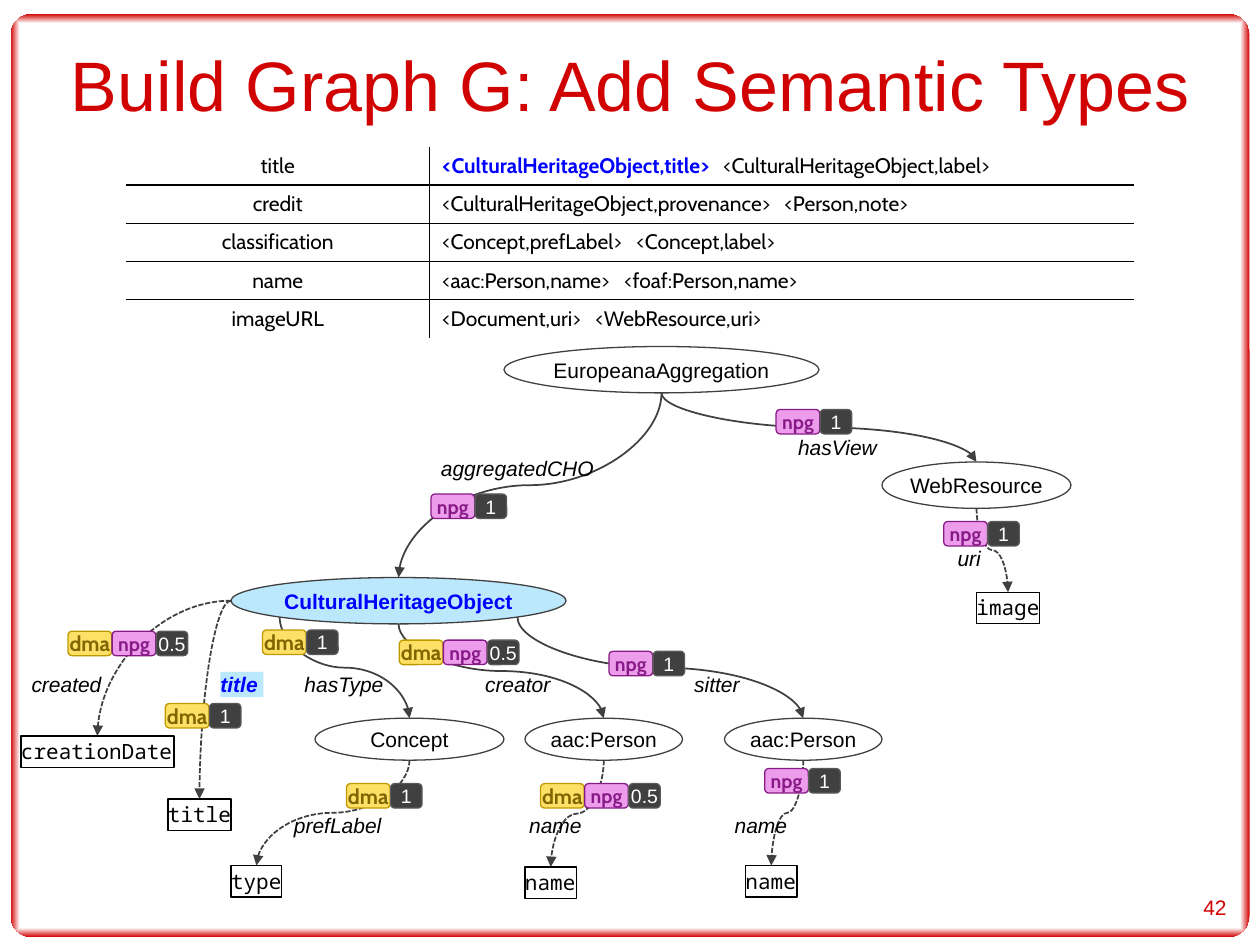
"""Build a slide showing a semantic type table above a graph of linked classes."""
import pptx
import pptx.chart.data
import pptx.dml.color
import pptx.enum.dml
import pptx.enum.shapes
import pptx.enum.text
import pptx.oxml
import pptx.oxml.ns
import pptx.util

TITLE = "Build Graph G: Add Semantic Types"
PAGE_NUMBER = "42"

TYPE_ROWS = [
    ("title", "<CulturalHeritageObject,title>", "<CulturalHeritageObject,label>", 160.5),
    ("credit", "<CulturalHeritageObject,provenance>", "<Person,note>", 195.5),
    ("classification", "<Concept,prefLabel>", "<Concept,label>", 111),
    ("name", "<aac:Person,name>", "<foaf:Person,name>", 104),
    ("imageURL", "<Document,uri>", "<WebResource,uri>", 87.5),
]

CLASSES = {
    "aggregation": ("EuropeanaAggregation", (288, 198, 180, 26.5)),
    "resource": ("WebResource", (504, 264, 108, 26.5)),
    "heritage": ("CulturalHeritageObject", (132, 330, 191.5, 26.5)),
    "concept": ("Concept", (180, 410.4, 108, 24)),
    "creator": ("aac:Person", (300, 410.4, 90, 24)),
    "sitter": ("aac:Person", (414, 410.4, 90, 24)),
}
FIELDS = {
    "image": ("image", (558, 338.4, 36, 18)),
    "date": ("creationDate", (12, 420.5, 87.4, 18)),
    "title": ("title", (96, 456.5, 36, 18)),
    "type": ("type", (132, 494.6, 29, 18)),
    "creator name": ("name", (300, 495.4, 29.4, 18)),
    "sitter name": ("name", (426, 494.6, 29.4, 18)),
}
NODES = CLASSES | FIELDS

SITES = {"left": (-1, 0), "lower left": (-0.71, 0.71), "bottom": (0, 1), "lower right": (0.71, 0.71)}
LINKS = [
    ("aggregation", "bottom", "heritage", "aggregatedCHO", (252, 260.6, 91.4), (246.3, 282.3), ["npg"], "1"),
    ("aggregation", "bottom", "resource", "hasView", (456, 248.6, 48), (443.5, 234), ["npg"], "1"),
    ("resource", "bottom", "image", "uri", (547.2, 312, 16.6), (539.3, 298), ["npg"], "1"),
    ("heritage", "left", "date", "created", (18, 384, 43), (38.9, 360.7), ["dma", "npg"], "0.5"),
    ("heritage", "left", "title", "title", (126, 384, 24.5), (94.5, 402), ["dma"], "1"),
    ("heritage", "lower left", "concept", "hasType", (174, 384, 48), (150, 360), ["dma"], "1"),
    ("heritage", "bottom", "creator", "creator", (277.2, 384, 41), (228.2, 365.8), ["dma", "npg"], "0.5"),
    ("heritage", "lower right", "sitter", "sitter", (396.7, 384, 29.5), (348, 372.2), ["npg"], "1"),
    ("concept", "bottom", "type", "prefLabel", (168, 464.4, 53.3), (198, 447.8), ["dma"], "1"),
    ("creator", "bottom", "creator name", "name", (302.4, 464.4, 33.1), (308.9, 447.8), ["dma", "npg"], "0.5"),
    ("sitter", "bottom", "sitter name", "name", (419.8, 464.4, 33.1), (437, 439.2), ["npg"], "1"),
]

THEME = {
    "red": "D10202", "white": "FFFFFF", "black": "000000", "dark": "404040",
    "accent": "0000FF", "highlight": "BCE8FD",
    "title": {"name": "Arial", "size": 40, "color": "D10202"},
    "number": {"name": "Arial", "size": 12, "color": "D10202"},
    "cell": {"name": "Cabin", "size": 12, "color": "000000", "bold": False},
    "class": {"name": "Arial", "size": 12, "color": "000000"},
    "label": {"name": "Arial", "size": 12, "color": "000000", "italic": True},
    "field": {"name": "Noto Sans Mono", "size": 12, "color": "000000"},
}
BADGES = {
    "dma": ("FFE066", "BF9900", {"name": "Cabin", "size": 12, "color": "806600", "bold": True}),
    "npg": ("EC9CEB", "881A87", {"name": "Cabin", "size": 11.1, "color": "881A87", "bold": True}),
    "weight": ("404040", "595959", {"name": "Arial", "size": 11.1, "color": "FFFFFF"}),
}
BADGE_STEP, BADGE_WIDTH, WEIGHT_WIDTH, BADGE_HEIGHT = 25.2, 25, 18, 14
ROW_HEIGHT = 21.8

Pt = pptx.util.Pt
SHAPE = pptx.enum.shapes.MSO_SHAPE
ALIGN = pptx.enum.text.PP_ALIGN
MIDDLE = pptx.enum.text.MSO_ANCHOR.MIDDLE
qn = pptx.oxml.ns.qn


def rgb(value):
    return pptx.dml.color.RGBColor.from_string(value)


def element(xml):
    return pptx.oxml.parse_xml(xml.replace(" ", f" {pptx.oxml.ns.nsdecls('a')} ", 1))


def style(font, formats):
    for key, value in formats.items():
        if key == "color":
            font.color.rgb = rgb(value)
        else:
            setattr(font, key, Pt(value) if key == "size" else value)


def write(box, text, formats, align=ALIGN.CENTER, margins=(0, 0, 0, 0), wrap=False):
    frame = box.text_frame
    frame.word_wrap = wrap
    frame.vertical_anchor = MIDDLE
    for side, margin in zip(("left", "top", "right", "bottom"), margins):
        setattr(frame, f"margin_{side}", Pt(margin))
    para = frame.paragraphs[0]
    para.alignment = align
    span = para.add_run()
    span.text = text
    style(span.font, formats)


def add_box(page, kind, place, fill, line=None):
    box = page.shapes.add_shape(kind, *map(Pt, place))
    box.shadow.inherit = False
    box.fill.solid()
    box.fill.fore_color.rgb = rgb(fill)
    if line:
        box.line.color.rgb = rgb(line)
        box.line.width = Pt(0.75)
    else:
        box.line.fill.background()
    return box


def add_frame(page):
    frame = add_box(page, SHAPE.ROUNDED_RECTANGLE, (6, 8, 708, 527.5), THEME["white"])
    frame.adjustments[0] = 0.023
    frame.fill.gradient()
    for stop, color, position in zip(frame.fill.gradient_stops, ("white", "red"), (0.98, 1)):
        stop.color.rgb = rgb(THEME[color])
        stop.position = position
    gradient = frame._element.spPr.find(qn("a:gradFill"))
    gradient.replace(gradient.find(qn("a:lin")), element(
        '<a:path path="rect"><a:fillToRect l="50000" t="50000" r="50000" b="50000"/></a:path>'))
    page.shapes._spTree.insert(2, frame._element)


def add_types(page):
    count = len(TYPE_ROWS)
    holder = page.shapes.add_table(count, 2, Pt(72), Pt(84), Pt(576), Pt(ROW_HEIGHT * count))
    table = holder.table
    table.first_row = table.horz_banding = False
    table._tbl.tblPr.find(qn("a:tableStyleId")).text = "{2D5ABB26-0587-4C30-8999-92F81FD0307C}"
    for column, width in zip(table.columns, (173.5, 402.5)):
        column.width = Pt(width)
    for index, (name, first, second, tab) in enumerate(TYPE_ROWS):
        table.rows[index].height = Pt(ROW_HEIGHT)
        for column, spans in enumerate(([name], [first, "\t" + second])):
            cell = table.cell(index, column)
            para = cell.text_frame.paragraphs[0]
            para.alignment = ALIGN.LEFT if column else ALIGN.CENTER
            if column:
                para._p.get_or_add_pPr().append(element(
                    f'<a:tabLst ><a:tab pos="{Pt(tab)}" algn="l"/></a:tabLst>'))
            for text in spans:
                span = para.add_run()
                span.text = text
                chosen = index == 0 and text == first
                style(span.font, THEME["cell"] | ({"color": THEME["accent"], "bold": True} if chosen else {}))
            sides = (["lnL"] if column else ["lnR"]) + ["lnT"] * (index > 0) + ["lnB"] * (index < count - 1)
            for side in sides:
                cell._tc.get_or_add_tcPr().append(element(
                    f'<a:{side} w="{Pt(1)}"><a:solidFill><a:srgbClr val="{THEME["black"]}"/></a:solidFill></a:{side}>'))
            cell.fill.background()


def add_link(page, source, site, target):
    left, top, width, height = NODES[source][1]
    across, down = SITES[site]
    x1, y1 = left + width / 2 * (1 + across), top + height / 2 * (1 + down)
    left, y2, width, _ = NODES[target][1]
    x2 = left + width / 2
    ends, turn = (x1, y1, x2, y2), 0
    if site != "left":
        x, y, run, rise = (x1 + x2) / 2, (y1 + y2) / 2, (y2 - y1) / 2, abs(x2 - x1) / 2
        turn = 270 if x2 > x1 else 90
        run = -run if x2 > x1 else run
        ends = (x - run, y - rise, x + run, y + rise)
    link = page.shapes.add_connector(pptx.enum.shapes.MSO_CONNECTOR.CURVE, *map(Pt, ends))
    link.line.color.rgb = rgb(THEME["dark"])
    link.line.width = Pt(1)
    if target in FIELDS:
        link.line.dash_style = pptx.enum.dml.MSO_LINE.SQUARE_DOT
    properties = link._element.spPr
    if turn:
        properties.find(qn("a:xfrm")).set("rot", str(turn * 60000))
    else:
        properties.find(qn("a:prstGeom")).set("prst", "curvedConnector2")
    properties.find(qn("a:ln")).append(element('<a:tailEnd type="triangle"/>'))
    properties.append(element("<a:effectLst />"))


def add_label(page, text, place, chosen):
    place = (*place, 14.4)
    if chosen:
        box = add_box(page, SHAPE.RECTANGLE, place, THEME["highlight"])
    else:
        box = page.shapes.add_textbox(*map(Pt, place))
    extra = {"color": THEME["accent"], "bold": True} if chosen else {}
    write(box, text, THEME["label"] | extra, ALIGN.LEFT)


def add_badges(page, place, sources, weight):
    left, top = place
    for index, text in enumerate([*sources, weight]):
        fill, line, formats = BADGES.get(text, BADGES["weight"])
        width = BADGE_WIDTH if text in BADGES else WEIGHT_WIDTH
        spot = (left + index * BADGE_STEP, top, width, BADGE_HEIGHT)
        write(add_box(page, SHAPE.ROUNDED_RECTANGLE, spot, fill, line), text, formats)


def main():
    deck = pptx.Presentation()
    deck.slide_width, deck.slide_height = Pt(720), Pt(540)
    page = deck.slides.add_slide(deck.slide_layouts[5])
    add_frame(page)
    title = page.shapes.title
    title.left, title.top, title.width, title.height = map(Pt, (24, 12, 672, 72))
    write(title, TITLE, THEME["title"], margins=(7.2, 3.6, 7.2, 3.6), wrap=True)
    number = page.shapes.add_textbox(*map(Pt, (666, 507, 42, 23)))
    write(number, PAGE_NUMBER, THEME["number"], ALIGN.RIGHT, (7.2, 3.6, 7.2, 3.6), True)
    add_types(page)
    for source, site, target, *_ in LINKS:
        add_link(page, source, site, target)
    for key, (text, place) in CLASSES.items():
        chosen = key == "heritage"
        box = add_box(page, SHAPE.OVAL, place, THEME["highlight" if chosen else "white"], THEME["dark"])
        extra = {"color": THEME["accent"], "bold": True} if chosen else {}
        write(box, text, THEME["class"] | extra, margins=(0, 3.6, 0, 3.6))
    for text, place in FIELDS.values():
        box = add_box(page, SHAPE.RECTANGLE, place, THEME["white"], THEME["black"])
        write(box, text, THEME["field"], ALIGN.LEFT, (0, 1.44, 0, 2.16))
    for *_, label, place, badge_place, sources, weight in LINKS:
        add_label(page, label, place, label == "title")
        add_badges(page, badge_place, sources, weight)
    deck.save("out.pptx")


if __name__ == "__main__":
    main()
